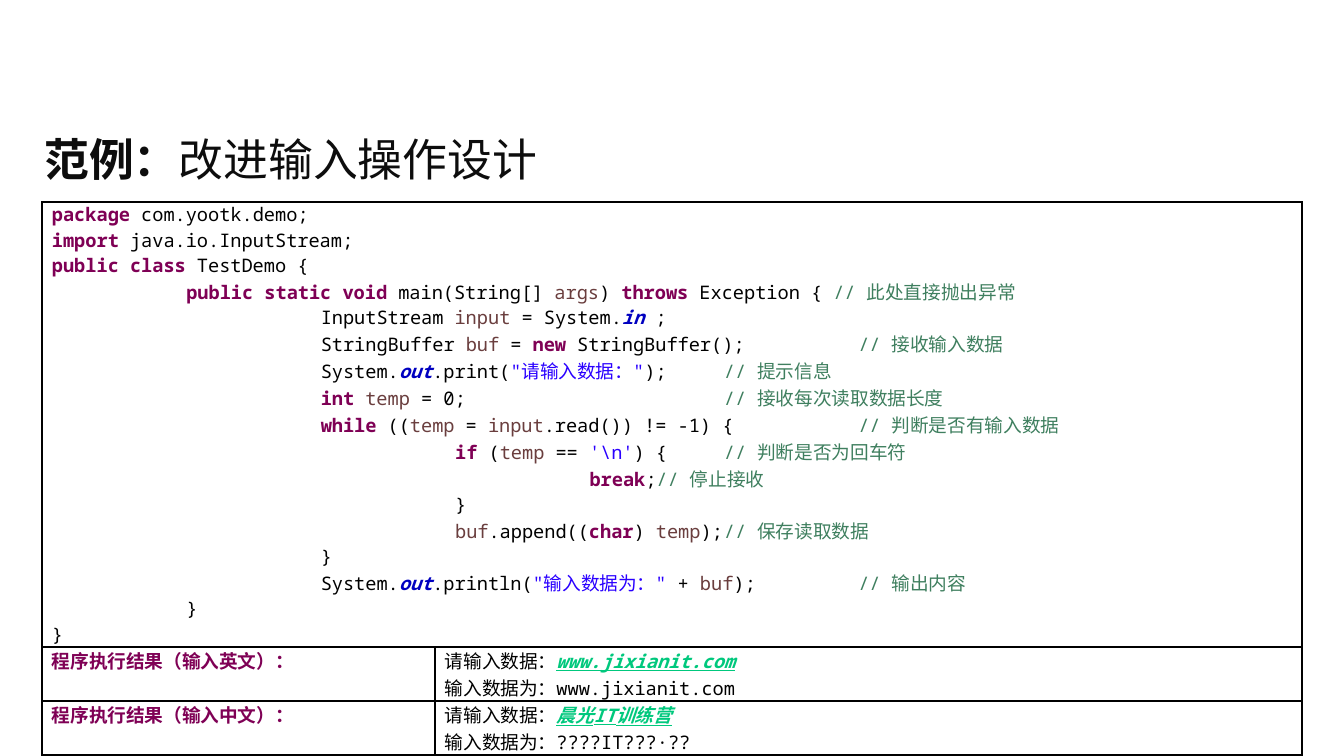
from pptx import Presentation
from pptx.dml.color import RGBColor
from pptx.enum.text import MSO_ANCHOR
from pptx.oxml import parse_xml
from pptx.oxml.ns import nsdecls
from pptx.util import Pt

PX = 914400 / 134.4  # EMU per px
MONO, CJK = "Noto Sans Mono", "Noto Sans CJK SC"

INK = RGBColor(0x0D, 0x0D, 0x0D)
BLACK = RGBColor(0x00, 0x00, 0x00)
PLUM = RGBColor(0x7F, 0x00, 0x55)
BROWN = RGBColor(0x6A, 0x3E, 0x3E)
NAVY = RGBColor(0x00, 0x00, 0xC0)
BLUE = RGBColor(0x2A, 0x00, 0xFF)
GREEN = RGBColor(0x3F, 0x7F, 0x5F)
MINT = RGBColor(0x00, 0xC8, 0x7D)

# Text styles: colour and font attributes
PLAIN = (BLACK, {})
KEY = (PLUM, {"bold": True})
VAR = (BROWN, {})
FIELD = (NAVY, {"bold": True, "italic": True})
STRING = (BLUE, {})
NOTE = (GREEN, {})
TYPED = (MINT, {"bold": True, "italic": True, "underline": True})
HEAD = (INK, {"bold": True})
TITLE = (INK, {"bold": False})

# Content: lists of lines, each line a list of (text, style)
title = [[("范例：", HEAD), ("改进输入操作设计", TITLE)]]
code = [
    [("package", KEY), (" com.yootk.demo;", PLAIN)],
    [("import", KEY), (" java.io.InputStream;", PLAIN)],
    [("public class", KEY), (" TestDemo {", PLAIN)],
    [("\t", PLAIN), ("public static void", KEY), (" main(String[] ", PLAIN), ("args", VAR),
     (") ", PLAIN), ("throws", KEY), (" Exception { ", PLAIN), ("// 此处直接抛出异常", NOTE)],
    [("\t\tInputStream ", PLAIN), ("input", VAR), (" = System.", PLAIN), ("in", FIELD),
     (" ;", PLAIN)],
    [("\t\tStringBuffer ", PLAIN), ("buf", VAR), (" = ", PLAIN), ("new", KEY),
     (" StringBuffer();\t", PLAIN), ("// 接收输入数据", NOTE)],
    [("\t\tSystem.", PLAIN), ("out", FIELD), (".print(", PLAIN), ('"请输入数据："', STRING),
     (");\t", PLAIN), ("// 提示信息", NOTE)],
    [("\t\t", PLAIN), ("int ", KEY), ("temp", VAR), (" = 0;\t\t", PLAIN),
     ("// 接收每次读取数据长度", NOTE)],
    [("\t\t", PLAIN), ("while", KEY), (" ((", PLAIN), ("temp", VAR), (" = ", PLAIN),
     ("input", VAR), (".read()) != -1) {\t", PLAIN), ("// 判断是否有输入数据", NOTE)],
    [("\t\t\t", PLAIN), ("if", KEY), (" (", PLAIN), ("temp", VAR), (" == ", PLAIN),
     (r"'\n'", STRING), (") {\t", PLAIN), ("// 判断是否为回车符", NOTE)],
    [("\t\t\t\t", PLAIN), ("break", KEY), (";", PLAIN), ("// 停止接收", NOTE)],
    [("\t\t\t}", PLAIN)],
    [("\t\t\t", PLAIN), ("buf", VAR), (".append((", PLAIN), ("char", KEY), (") ", PLAIN),
     ("temp", VAR), (");\t", PLAIN), ("// 保存读取数据", NOTE)],
    [("\t\t}", PLAIN)],
    [("\t\tSystem.", PLAIN), ("out", FIELD), (".println(", PLAIN), ('"输入数据为："', STRING),
     (" + ", PLAIN), ("buf", VAR), (");\t", PLAIN), ("// 输出内容", NOTE)],
    [("\t}", PLAIN)],
    [("}", PLAIN)],
]
results = [
    ("程序执行结果（输入英文）：", "www.jixianit.com", "www.jixianit.com"),
    ("程序执行结果（输入中文）：", "晨光IT训练营", "????IT???·??"),
]
rows = [[code]] + [
    [[[(label, KEY)]],
     [[("请输入数据：", PLAIN), (typed, TYPED)], [("输入数据为：" + shown, PLAIN)]]]
    for label, typed, shown in results
]
COLS, ROWS = [393, 867], [445, 54, 54]
TAB, TAB_COUNT = 914400, 8  # one-inch code indents


def px(n):
    return round(n * PX)


def add_tabs(p):
    stops = "".join(f'<a:tab pos="{TAB * n}" algn="l"/>' for n in range(1, TAB_COUNT + 1))
    p._p.get_or_add_pPr().append(parse_xml(f'<a:tabLst {nsdecls("a")}>{stops}</a:tabLst>'))


def write(tf, lines, size, face):
    for i, line in enumerate(lines):
        p = tf.paragraphs[0] if i == 0 else tf.add_paragraph()
        if any("\t" in text for text, _ in line):
            add_tabs(p)
        for text, (color, attrs) in line:
            r = p.add_run()
            r.text = text
            r.font.size, r.font.name = Pt(size), face
            r.font.color.rgb = color
            for name, value in attrs.items():
                setattr(r.font, name, value)
            r.font._element.append(parse_xml(f'<a:ea {nsdecls("a")} typeface="{CJK}"/>'))


def add_borders(cell):
    tcPr = cell._tc.get_or_add_tcPr()
    for i, side in enumerate(("lnL", "lnR", "lnT", "lnB")):
        tcPr.insert(i, parse_xml(
            f'<a:{side} {nsdecls("a")} w="{Pt(1)}"><a:solidFill>'
            f'<a:srgbClr val="{BLACK}"/></a:solidFill></a:{side}>'))


prs = Presentation()
prs.slide_width, prs.slide_height = px(1344), px(756)
s = prs.slides.add_slide(prs.slide_layouts[6])

# Title
tf = s.shapes.add_textbox(px(31), px(116), px(1281), px(86)).text_frame
tf.word_wrap = True
tf.vertical_anchor = MSO_ANCHOR.MIDDLE
write(tf, title, 24, CJK)

# Code and results table
table = s.shapes.add_table(len(ROWS), len(COLS), px(42), px(202),
                           px(sum(COLS)), px(sum(ROWS))).table
table.first_row = table.horz_banding = False
for col, width in zip(table.columns, COLS):
    col.width = px(width)
for row, height in zip(table.rows, ROWS):
    row.height = px(height)
table.cell(0, 0).merge(table.cell(0, 1))

for i, row in enumerate(rows):
    for j, lines in enumerate(row):
        cell = table.cell(i, j)
        cell.margin_left = cell.margin_right = px(10)
        cell.margin_top = cell.margin_bottom = 0
        write(cell.text_frame, lines, 10, MONO)
for cell in table.iter_cells():
    cell.fill.background()
    add_borders(cell)

prs.save("out.pptx")
